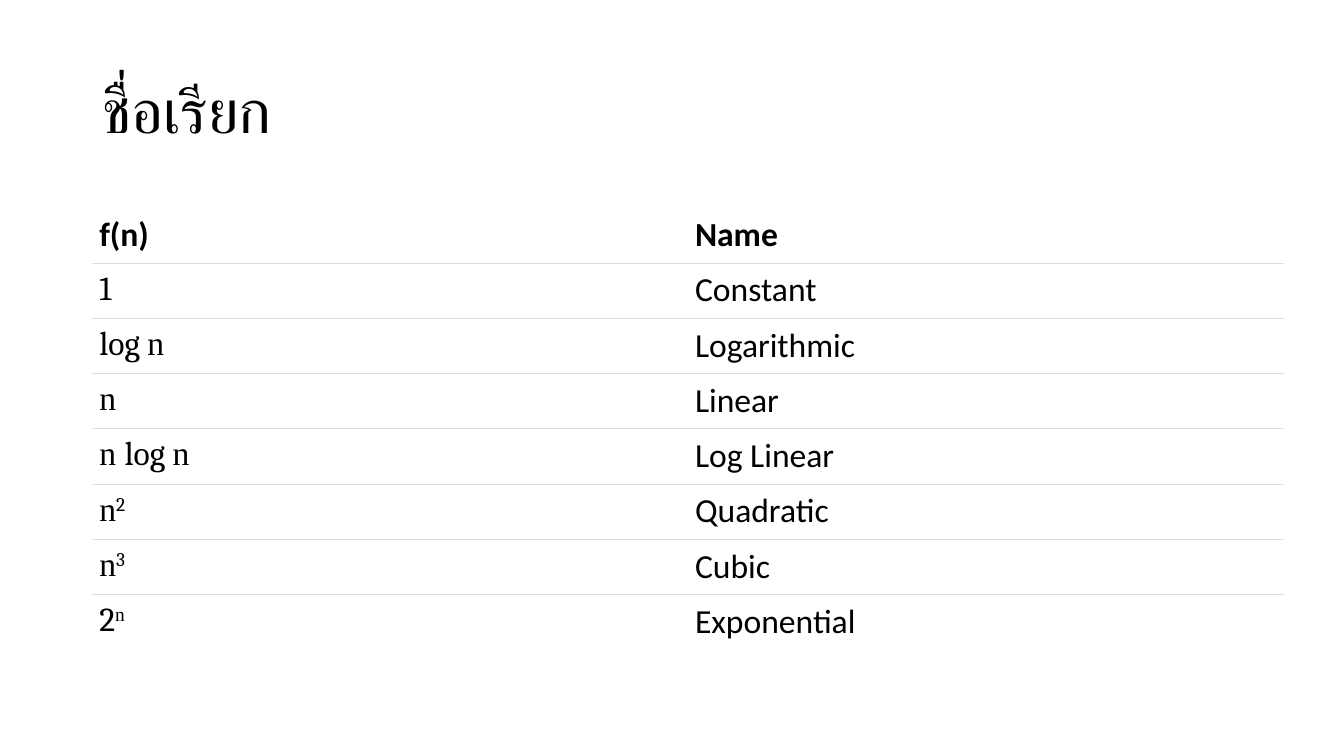
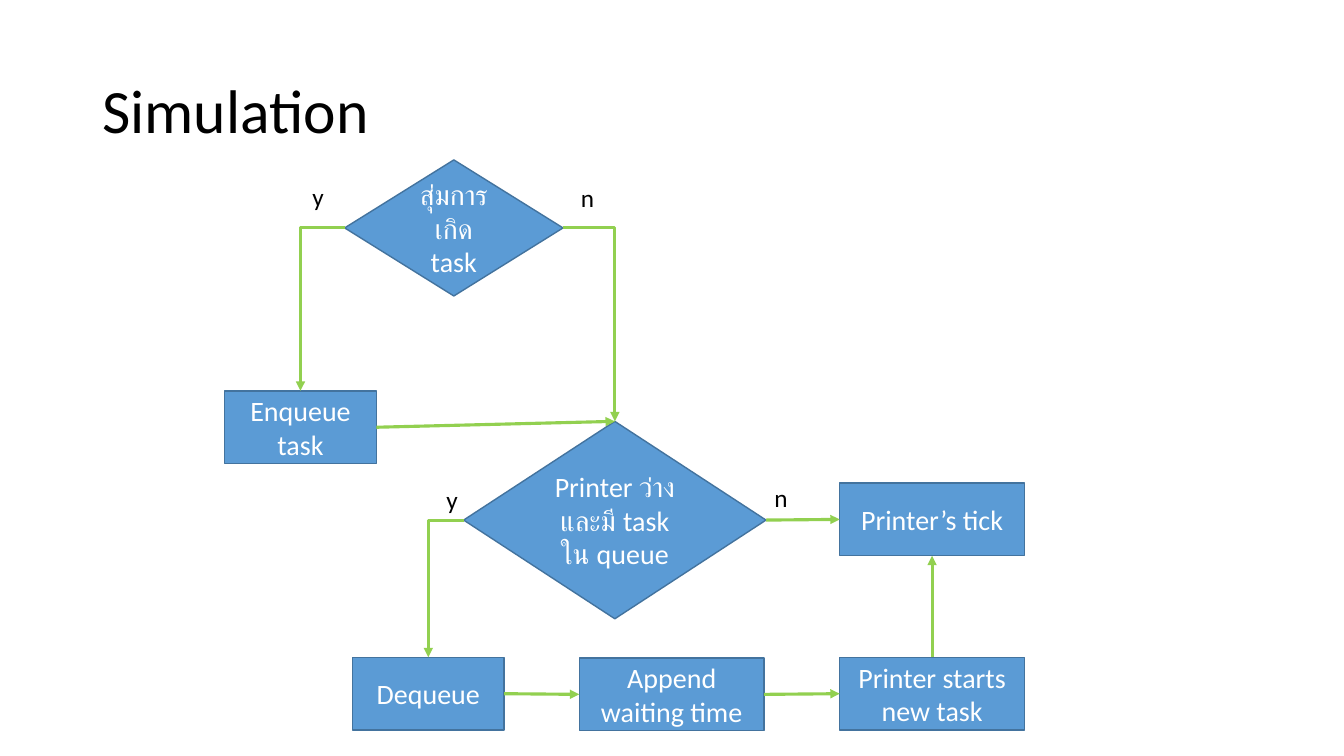
from lxml.etree import SubElement
from pptx import Presentation
from pptx.dml.color import RGBColor
from pptx.enum.shapes import MSO_CONNECTOR, MSO_SHAPE
from pptx.enum.text import MSO_ANCHOR, PP_ALIGN
from pptx.oxml import parse_xml
from pptx.oxml.ns import nsdecls, qn
from pptx.util import Pt

HEX = {"ink": "000000", "paper": "FFFFFF", "box": "5B9BD5",
       "edge": "43739E", "arrow": "92D050", "rule": "DDDDDD"}
SANS, MATH, ITEM = "Calibri", "Cambria", "Times New Roman"
TOP, LEFT, BASE, RIGHT = range(4)

HEAD = ["f(n)", "Name"]
ROWS = [
    ([("1", MATH)], "Constant"),
    ([("log ", MATH), ("n", ITEM)], "Logarithmic"),
    ([("n", ITEM)], "Linear"),
    ([("n ", ITEM), ("log ", MATH), ("n", ITEM)], "Log Linear"),
    ([("n", ITEM), ("2", MATH, True)], "Quadratic"),
    ([("n", ITEM), ("3", MATH, True)], "Cubic"),
    ([("2", MATH), ("n", ITEM, True)], "Exponential"),
]
DIAMOND, RECT = MSO_SHAPE.FLOWCHART_DECISION, MSO_SHAPE.RECTANGLE
NODES = {
    "random": ("สุ่มการเกิด task", DIAMOND, 246.2, 114.2, 156, 97.2),
    "enqueue": ("Enqueue task", RECT, 160.5, 279.2, 108.3, 52),
    "dequeue": ("Dequeue", RECT, 251.8, 469.5, 108.3, 52),
    "free": ("Printer ว่าง และมี task ใน queue", DIAMOND, 331.2, 301, 216, 141),
    "append": ("Append waiting time", RECT, 413.8, 470, 132, 52),
    "start": ("Printer starts new task", RECT, 599.8, 469.5, 132, 52),
    "tick": ("Printer’s tick", RECT, 599.8, 345, 132, 52),
}
LINKS = [
    ("random", LEFT, "enqueue", TOP, True),
    ("free", LEFT, "dequeue", TOP, True),
    ("random", RIGHT, "free", TOP, True),
    ("enqueue", RIGHT, "free", TOP, False),
    ("dequeue", RIGHT, "append", LEFT, False),
    ("append", RIGHT, "start", LEFT, False),
    ("start", TOP, "tick", BASE, False),
    ("free", RIGHT, "tick", LEFT, False),
]
MARKS = [("y", 216, 126), ("n", 407.8, 126.5),
         ("y", 311.8, 342.7), ("n", 546, 341)]


def tint(name):
    return RGBColor.from_string(HEX[name])


def style(font, size, name="ink", face=SANS):
    font.size, font.name = Pt(size), face
    font.color.rgb = tint(name)


def new_slide(deck, text):
    slide = deck.slides.add_slide(deck.slide_layouts[5])
    title = slide.shapes.title
    title.left, title.top, title.width, title.height = map(Pt, (66, 28.8, 828, 104.4))
    title.text_frame.text = text
    title.text_frame.vertical_anchor = MSO_ANCHOR.MIDDLE
    para = title.text_frame.paragraphs[0]
    para.alignment, para.line_spacing = PP_ALIGN.LEFT, 0.9
    style(para.font, 44)
    return slide


def rule(cell, side):
    cell._tc.get_or_add_tcPr().insert(0, parse_xml(
        f'<a:{side} {nsdecls("a")} w="7620"><a:solidFill>'
        f'<a:srgbClr val="{HEX["rule"]}"/></a:solidFill></a:{side}>'))


def fill_cell(cell, parts, bold):
    cell.fill.background()
    cell.margin_left = cell.margin_right = Pt(5)
    cell.margin_top = cell.margin_bottom = Pt(5)
    cell.vertical_anchor = MSO_ANCHOR.BOTTOM if bold else MSO_ANCHOR.TOP
    para = cell.text_frame.paragraphs[0]
    for text, face, *high in parts:
        run = para.add_run()
        run.text = text
        style(run.font, 24, face=face)
        run.font.bold = bold
        if high:
            run.font._element.set("baseline", "30000")


def add_names(slide):
    data = [[[(text, SANS)] for text in HEAD]]
    data += [[parts, [(name, SANS)]] for parts, name in ROWS]
    count = len(data)
    table = slide.shapes.add_table(count, 2, Pt(66), Pt(148.3),
                                   Pt(851), Pt(39.5 * count)).table
    table.first_row = table.horz_banding = False
    for r, row in enumerate(data):
        for c, parts in enumerate(row):
            cell = table.cell(r, c)
            fill_cell(cell, parts, r == 0)
            if r < count - 1:
                rule(cell, "lnB")
            if r:
                rule(cell, "lnT")


def add_node(slide, text, kind, *area):
    node = slide.shapes.add_shape(kind, *map(Pt, area))
    node.shadow.inherit = False
    node.fill.solid()
    node.fill.fore_color.rgb = tint("box")
    node.line.color.rgb, node.line.width = tint("edge"), Pt(1)
    frame = node.text_frame
    frame.text, frame.word_wrap = text, True
    frame.vertical_anchor = MSO_ANCHOR.MIDDLE
    para = frame.paragraphs[0]
    para.alignment = PP_ALIGN.CENTER
    style(para.font, 20, "paper")
    return node


def spot(node, side):
    mid_x, mid_y = node.left + node.width // 2, node.top + node.height // 2
    return [(mid_x, node.top), (node.left, mid_y),
            (mid_x, node.top + node.height), (node.left + node.width, mid_y)][side]


def add_link(slide, start, out, end, into, bent):
    kind = MSO_CONNECTOR.ELBOW if bent else MSO_CONNECTOR.STRAIGHT
    link = slide.shapes.add_connector(kind, *spot(start, out), *spot(end, into))
    link.begin_connect(start, out)
    link.end_connect(end, into)
    link.line.color.rgb, link.line.width = tint("arrow"), Pt(2.25)
    SubElement(link.line._get_or_add_ln(), qn("a:tailEnd"), type="triangle")
    props = link._element.spPr
    SubElement(props, qn("a:effectLst"))
    if bent:
        props.find(qn("a:prstGeom")).set("prst", "bentConnector2")


def add_mark(slide, text, left, top):
    frame = slide.shapes.add_textbox(Pt(left), Pt(top), Pt(24), Pt(29)).text_frame
    frame.text, frame.word_wrap = text, False
    style(frame.paragraphs[0].font, 18)


def main():
    deck = Presentation()
    deck.slide_width, deck.slide_height = Pt(960), Pt(540)
    add_names(new_slide(deck, "ชื่อเรียก"))
    slide = new_slide(deck, "Simulation")
    nodes = {key: add_node(slide, *node) for key, node in NODES.items()}
    for start, out, end, into, bent in LINKS:
        add_link(slide, nodes[start], out, nodes[end], into, bent)
    for mark in MARKS:
        add_mark(slide, *mark)
    deck.save("out.pptx")


if __name__ == "__main__":
    main()
